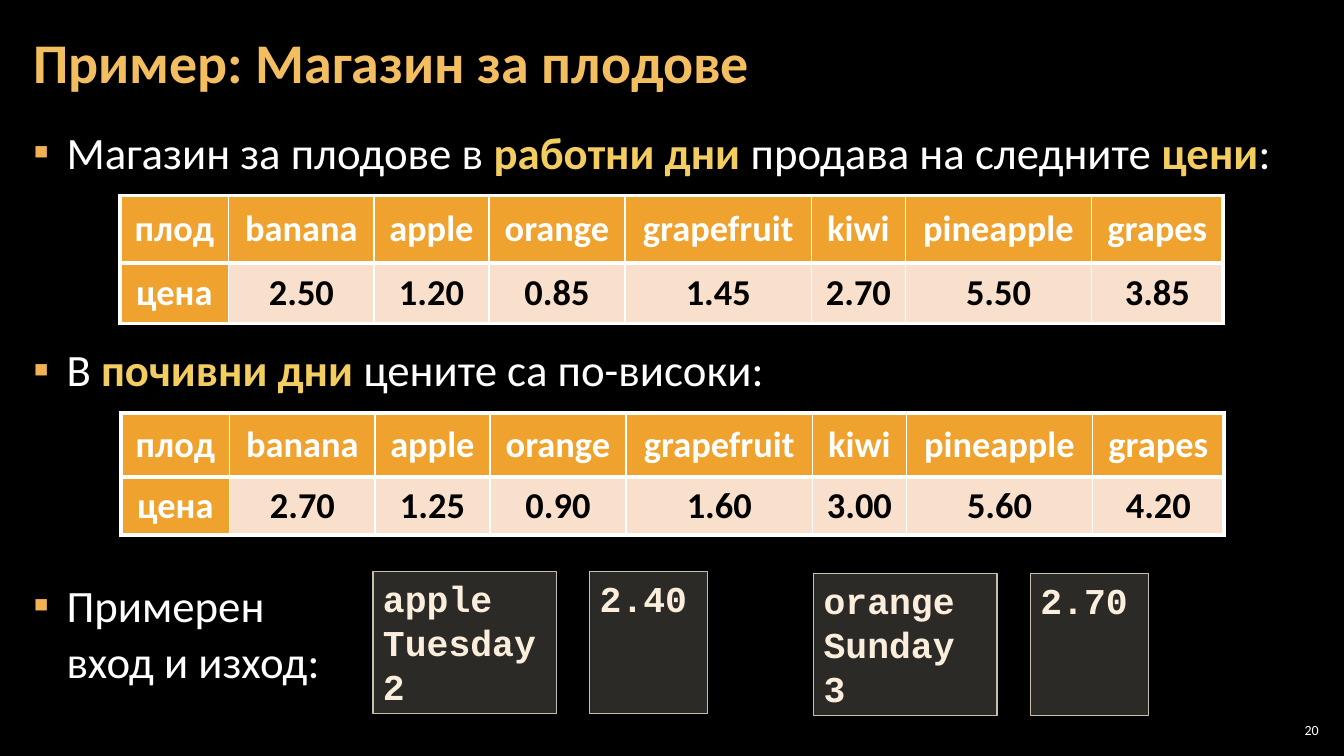
from dataclasses import dataclass
from lxml.etree import SubElement
from pptx import Presentation
from pptx.dml.color import RGBColor
from pptx.enum.shapes import MSO_SHAPE
from pptx.enum.text import MSO_ANCHOR, MSO_AUTO_SIZE, PP_ALIGN
from pptx.oxml import parse_xml
from pptx.oxml.ns import nsdecls, qn
from pptx.util import Inches, Pt


@dataclass(frozen=True)
class Theme:
    font: str = "Calibri"
    code_font: str = "Courier New"
    background: str = "000000"
    text: str = "FFFFFF"
    title: str = "F3BE60"
    accent: str = "F3CD60"
    bullet: str = "F2B254"
    header: str = "F0A22E"
    value_fill: str = "F9E0CD"
    value_text: str = "000000"
    box_fill: str = "D9D5C7"
    box_line: str = "C7BFAC"
    code: str = "FBEEDC"
    title_size: int = 40
    body_size: int = 32
    table_size: int = 26
    number_size: int = 10


THEME = Theme()

TITLE = "Пример: Магазин за плодове"
SLIDE_NUMBER = "20"
BULLETS = [
    (6, [[("Магазин за плодове в ", False), ("работни дни ", True),
          ("продава на следните ", False), ("цени", True), (":", False)]]),
    (109, [[("В ", False), ("почивни дни ", True), ("цените са по-високи:", False)]]),
    (122, [[("Примерен", False)], [("вход и изход:", False)]]),
]
FRUITS = ["плод", "banana", "apple", "orange", "grapefruit", "kiwi", "pineapple", "grapes"]
COLUMN_WIDTHS = [1.08, 1.44, 1.14, 1.35, 1.85, 0.93, 1.85, 1.3]
PRICE_TABLES = [
    (1.19, 1.94, (0.67, 0.6), ["цена", "2.50", "1.20", "0.85", "1.45", "2.70", "5.50", "3.85"]),
    (1.2, 4.1, (0.63, 0.58), ["цена", "2.70", "1.25", "0.90", "1.60", "3.00", "5.60", "4.20"]),
]
EXAMPLES = [
    (3.7, 5.67, ["apple", "Tuesday", "2"], ["2.40"]),
    (8.07, 5.69, ["orange", "Sunday", "3"], ["2.70"]),
]
INPUT_WIDTH, OUTPUT_WIDTH, BOX_HEIGHT, OUTPUT_OFFSET = 1.82, 1.17, 1.41, 2.15


def rgb(value):
    return RGBColor.from_string(value)


def add_run(paragraph, text, size, color, bold=False, font=THEME.font):
    run = paragraph.add_run()
    run.text = text
    run.font.name = font
    run.font.size = Pt(size)
    run.font.bold = bold
    run.font.color.rgb = rgb(color)


def set_frame(frame, horizontal, vertical, anchor):
    frame.word_wrap = True
    frame.auto_size = MSO_AUTO_SIZE.NONE
    frame.vertical_anchor = anchor
    frame.margin_left = frame.margin_right = Inches(horizontal)
    frame.margin_top = frame.margin_bottom = Inches(vertical)


def add_bullet(paragraph):
    properties = paragraph._p.get_or_add_pPr()
    properties.set("marL", str(Inches(0.33)))
    properties.set("indent", str(-Inches(0.33)))
    color = SubElement(properties, qn("a:buClr"))
    SubElement(color, qn("a:srgbClr"), val=THEME.bullet)
    SubElement(properties, qn("a:buFont"), typeface=THEME.font)
    SubElement(properties, qn("a:buChar"), char="▪")


def set_borders(cell, widths):
    properties = cell._tc.get_or_add_tcPr()
    for position, (side, width) in enumerate(widths.items()):
        properties.insert(position, parse_xml(
            f'<a:ln{side} {nsdecls("a")} w="{Pt(width)}"><a:solidFill>'
            f'<a:srgbClr val="{THEME.text}"/></a:solidFill></a:ln{side}>'))


def add_price_table(slide, left, top, heights, prices):
    table = slide.shapes.add_table(
        2, len(FRUITS), Inches(left), Inches(top),
        Inches(sum(COLUMN_WIDTHS)), Inches(sum(heights))).table
    for column, width in zip(table.columns, COLUMN_WIDTHS):
        column.width = Inches(width)
    last = len(FRUITS) - 1
    for row, (height, values) in enumerate(zip(heights, (FRUITS, prices))):
        table.rows[row].height = Inches(height)
        for column, value in enumerate(values):
            is_header = row == 0 or column == 0
            cell = table.cell(row, column)
            cell.vertical_anchor = MSO_ANCHOR.MIDDLE
            cell.margin_left = cell.margin_right = Inches(0.07)
            cell.margin_top = cell.margin_bottom = 0
            cell.fill.solid()
            cell.fill.fore_color.rgb = rgb(THEME.header if is_header else THEME.value_fill)
            set_borders(cell, {"L": 3 if column == 0 else 1, "R": 3 if column == last else 1,
                               "T": 3 if row == 0 else 1, "B": 3})
            paragraph = cell.text_frame.paragraphs[0]
            paragraph.alignment = PP_ALIGN.CENTER
            add_run(paragraph, value, THEME.table_size,
                    THEME.text if is_header else THEME.value_text, True)


def add_code_box(slide, left, top, width, lines):
    box = slide.shapes.add_shape(MSO_SHAPE.RECTANGLE, Inches(left), Inches(top),
                                 Inches(width), Inches(BOX_HEIGHT))
    box.shadow.inherit = False
    box.fill.solid()
    box.fill.fore_color.rgb = rgb(THEME.box_fill)
    SubElement(box.fill._xPr.find(".//" + qn("a:srgbClr")), qn("a:alpha"), val="20000")
    box.line.color.rgb = rgb(THEME.box_line)
    box.line.width = Pt(1)
    frame = box.text_frame
    set_frame(frame, 0.1, 0.05, MSO_ANCHOR.TOP)
    for index, line in enumerate(lines):
        paragraph = frame.add_paragraph() if index else frame.paragraphs[0]
        paragraph.alignment = PP_ALIGN.LEFT
        add_run(paragraph, line, THEME.table_size, THEME.code, True, THEME.code_font)


presentation = Presentation()
presentation.slide_width = Inches(13.33)
presentation.slide_height = Inches(7.5)
slide = presentation.slides.add_slide(presentation.slide_layouts[5])
slide.background.fill.solid()
slide.background.fill.fore_color.rgb = rgb(THEME.background)

title = slide.shapes.title
title.left, title.top, title.width, title.height = map(Inches, (0.21, 0.04, 10.47, 1.21))
set_frame(title.text_frame, 0.12, 0.04, MSO_ANCHOR.MIDDLE)
title_paragraph = title.text_frame.paragraphs[0]
title_paragraph.alignment = PP_ALIGN.LEFT
title_paragraph.line_spacing = 0.9
add_run(title_paragraph, TITLE, THEME.title_size, THEME.title, True)

body = slide.shapes.add_textbox(*map(Inches, (0.21, 1.17, 12.91, 6.09))).text_frame
set_frame(body, 0.12, 0.04, MSO_ANCHOR.TOP)
for index, (space_before, lines) in enumerate(BULLETS):
    paragraph = body.add_paragraph() if index else body.paragraphs[0]
    paragraph.line_spacing = 1.05
    paragraph.space_before = Pt(space_before)
    paragraph.space_after = Pt(6)
    add_bullet(paragraph)
    for line_index, runs in enumerate(lines):
        if line_index:
            paragraph.add_line_break()
        for text, highlighted in runs:
            add_run(paragraph, text, THEME.body_size,
                    THEME.accent if highlighted else THEME.text, highlighted)

for price_table in PRICE_TABLES:
    add_price_table(slide, *price_table)

for left, top, input_lines, output_lines in EXAMPLES:
    add_code_box(slide, left, top, INPUT_WIDTH, input_lines)
    add_code_box(slide, left + OUTPUT_OFFSET, top, OUTPUT_WIDTH, output_lines)

number = slide.shapes.add_textbox(*map(Inches, (12.65, 7.14, 0.47, 0.21))).text_frame
set_frame(number, 0.04, 0.04, MSO_ANCHOR.MIDDLE)
number.paragraphs[0].alignment = PP_ALIGN.RIGHT
add_run(number.paragraphs[0], SLIDE_NUMBER, THEME.number_size, THEME.text)

presentation.save("out.pptx")
